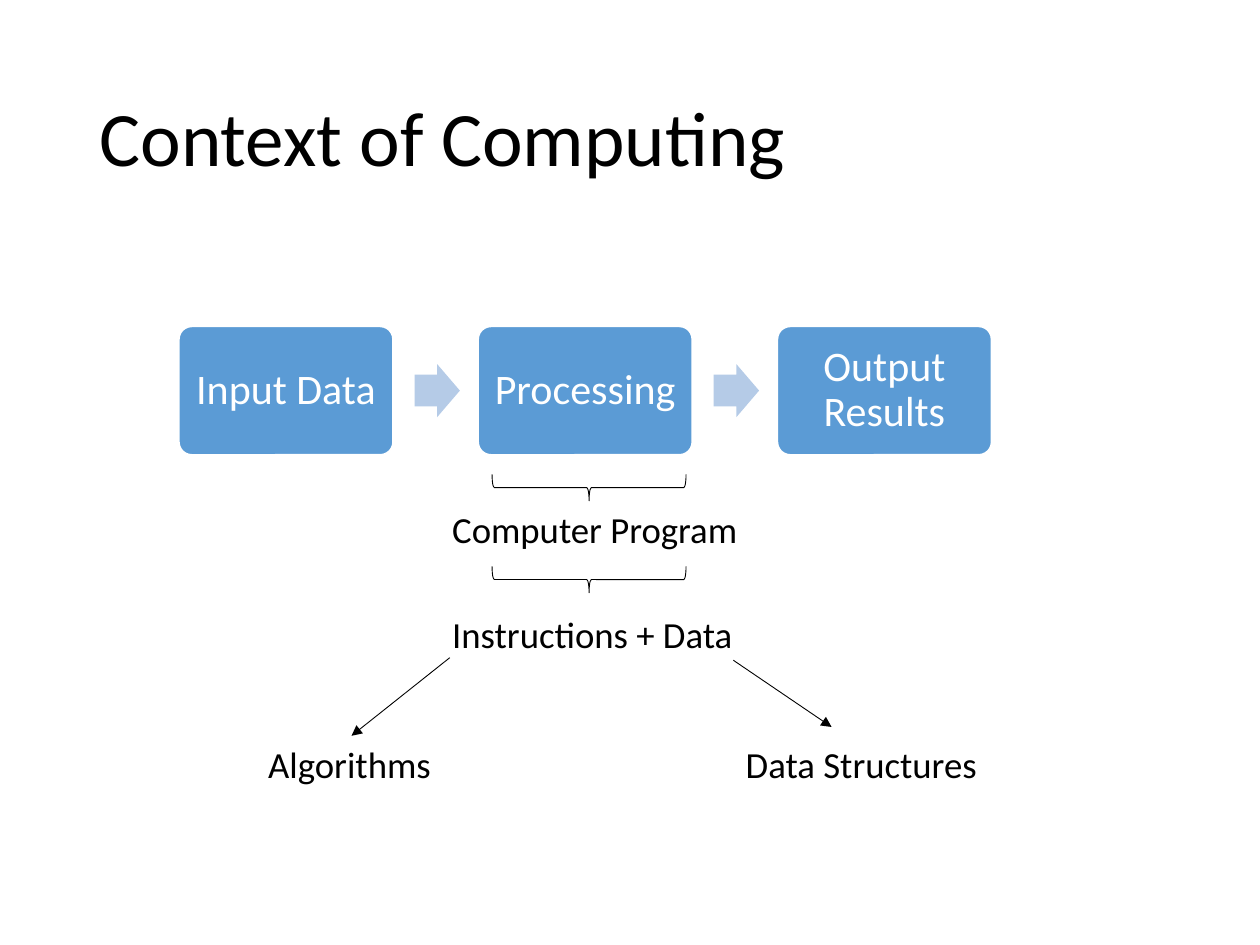
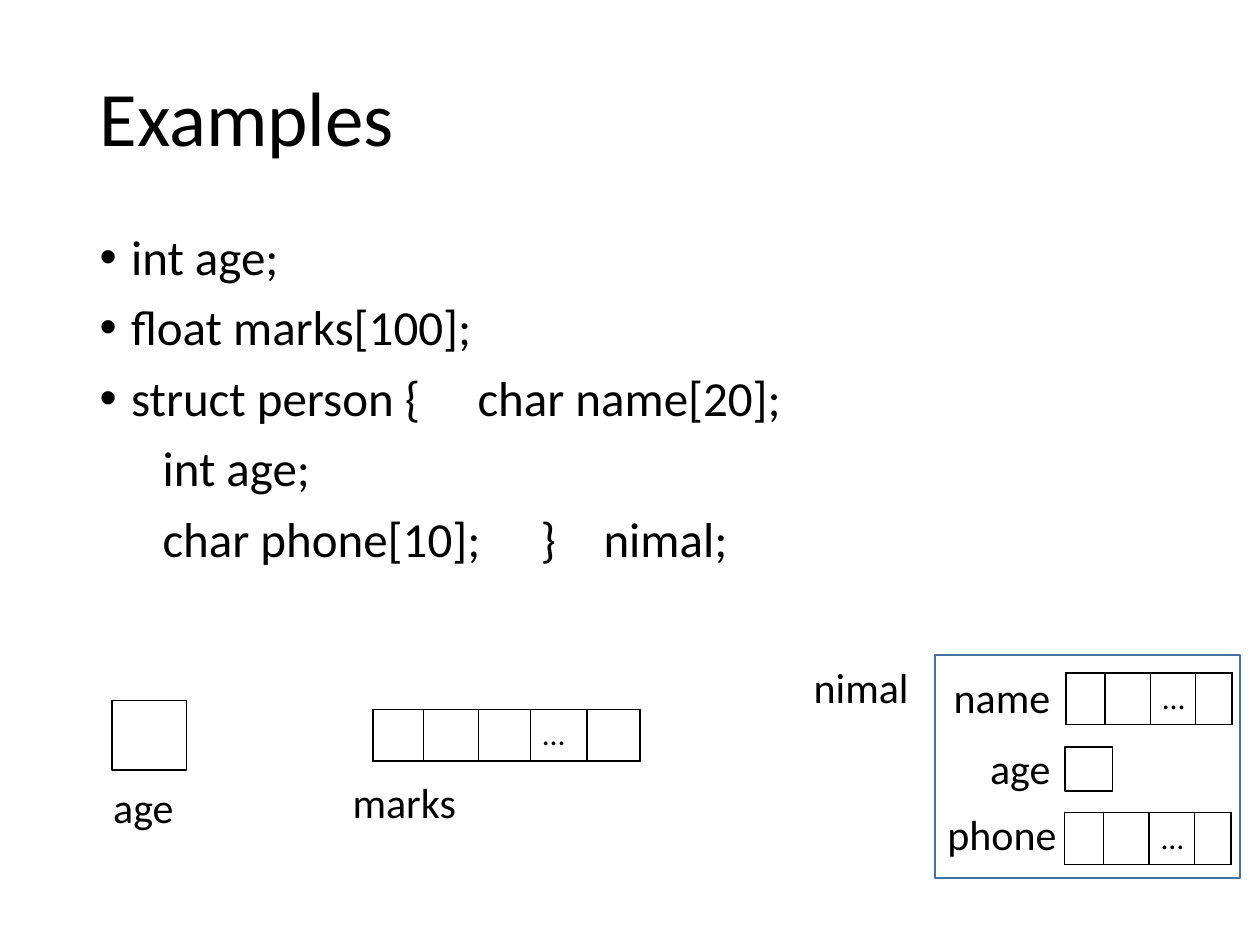
from typing import NamedTuple

from lxml import etree
from pptx import Presentation
from pptx.dml.color import RGBColor
from pptx.enum.shapes import MSO_CONNECTOR, MSO_SHAPE
from pptx.enum.text import MSO_ANCHOR, MSO_AUTO_SIZE, PP_ALIGN
from pptx.oxml.ns import qn
from pptx.util import Inches, Pt

ROUND_RECT = MSO_SHAPE.ROUNDED_RECTANGLE
RECT = MSO_SHAPE.RECTANGLE
ARROW = MSO_SHAPE.RIGHT_ARROW
BRACE = MSO_SHAPE.RIGHT_BRACE
STRAIGHT = MSO_CONNECTOR.STRAIGHT
LEFT, CENTER = PP_ALIGN.LEFT, PP_ALIGN.CENTER
TOP, MIDDLE = MSO_ANCHOR.TOP, MSO_ANCHOR.MIDDLE

FONT = "Calibri"
BLACK, WHITE = "000000", "FFFFFF"
BLUE, PALE_BLUE, FRAME_BLUE = "5B9BD5", "B5CBE7", "43739E"

# The slide is a grid of 100 columns and 75 rows of square cells.
COLS, ROWS = 100, 75
UNIT = Inches(0.1)
BODY_LAYOUT, TITLE_LAYOUT = 1, 5
STEP_PITCH = 23.75


class Box(NamedTuple):
    """A rectangle in grid columns and rows."""
    x: float
    y: float
    w: float
    h: float

    def emu(self) -> list[int]:
        return [grid(v) for v in self]


class Label(NamedTuple):
    text: str
    box: Box
    size: int


class Strip(NamedTuple):
    """A one-row array with an ellipsis in one of its cells."""
    x: float
    y: float
    widths: tuple[float, ...]
    gap_cell: int


STEPS = ("Input Data", "Processing", "Output Results")
PROGRAM_LABELS = (
    Label("Computer Program", Box(34.9, 39.7, 25.1, 4.5), 21),
    Label("Instructions + Data", Box(34.9, 48.1, 25.1, 4.5), 21),
    Label("Algorithms", Box(20.3, 58.4, 15.1, 4.5), 21),
    Label("Data Structures", Box(58.2, 58.4, 20.5, 4.5), 21),
)
BRACE_TOPS = (31, 38.3)
BRANCHES = ((35.7, 52.2, 27.9, 58.4), (58.2, 52.4, 66, 57.7))

FIELD_WIDTHS = (3.1, 3.6, 3.6, 2.9)
STRIPS = (
    Strip(29.6, 56.3, (4, 4.4, 4.1, 4.5, 4.2), 3),
    Strip(84.6, 53.4, FIELD_WIDTHS, 2),
    Strip(84.5, 64.5, FIELD_WIDTHS, 2),
)
AGE_BOXES = (Box(8.9, 55.6, 5.9, 5.5), Box(84.5, 59.3, 3.8, 3.5))
STRUCT_FRAME = Box(74.2, 52, 24.2, 17.7)
VARIABLE_LABELS = (
    Label("age", Box(8, 61.5, 6.9, 5), 24),
    Label("marks", Box(27, 61.1, 10.3, 5), 24),
    Label("age", Box(77.6, 58.4, 6.9, 5), 24),
    Label("name", Box(74.7, 52.8, 9.8, 5), 24),
    Label("phone", Box(74.2, 63.7, 10.8, 5), 24),
    Label("nimal", Box(63.6, 52, 10.3, 5), 24),
)
BULLETS = ("int age;", "float marks[100];", "struct person { \tchar name[20];")
STRUCT_LINES = ("\tint age;", "\tchar phone[10];\t}\tnimal;")
STRUCT_TABS = (30, 60, 63.8)


def grid(v: float) -> int:
    return round(v * UNIT)


def rgb(hex_color: str) -> RGBColor:
    return RGBColor.from_string(hex_color)


def style(p, size: float, color: str = BLACK, align=LEFT) -> None:
    p.font.name, p.font.size = FONT, Pt(size)
    p.font.color.rgb = rgb(color)
    p.alignment = align


def place(sp, box: Box) -> None:
    sp.left, sp.top, sp.width, sp.height = box.emu()


def add_title(slide, text: str, box: Box) -> None:
    sp = slide.shapes.title
    place(sp, box)
    tf = sp.text_frame
    tf.text, tf.vertical_anchor = text, MIDDLE
    tf.auto_size = MSO_AUTO_SIZE.NONE
    style(tf.paragraphs[0], 44)
    tf.paragraphs[0].line_spacing = 0.9


def add_preset(slide, kind, box: Box, fill: str = "", line: str = "",
               weight: float = 1):
    """Draw a preset shape; an empty colour means no fill or no line."""
    sp = slide.shapes.add_shape(kind, *box.emu())
    sp.shadow.inherit = False
    if fill:
        sp.fill.solid()
        sp.fill.fore_color.rgb = rgb(fill)
    else:
        sp.fill.background()
    if line:
        sp.line.color.rgb, sp.line.width = rgb(line), Pt(weight)
    else:
        sp.line.fill.background()
    return sp


def add_label(slide, label: Label) -> None:
    tf = slide.shapes.add_textbox(*label.box.emu()).text_frame
    tf.word_wrap, tf.text = True, label.text
    style(tf.paragraphs[0], label.size)


def add_step(slide, text: str, box: Box) -> None:
    sp = add_preset(slide, ROUND_RECT, box, BLUE, WHITE)
    sp.adjustments[0] = 0.1
    tf = sp.text_frame
    tf.word_wrap, tf.text, tf.vertical_anchor = True, text, MIDDLE
    tf.margin_left = tf.margin_right = grid(0.9)
    style(tf.paragraphs[0], 24, WHITE, CENTER)
    tf.paragraphs[0].line_spacing = 0.9


def add_branch(slide, ends: tuple[float, ...]) -> None:
    cn = slide.shapes.add_connector(STRAIGHT, *map(grid, ends))
    cn.line.color.rgb, cn.line.width = rgb(BLACK), Pt(0.5)
    etree.SubElement(cn.line._get_or_add_ln(), qn("a:tailEnd"), type="triangle")
    etree.SubElement(cn._element.spPr, qn("a:effectLst"))


def add_borders(cell) -> None:
    tc_pr = cell._tc.get_or_add_tcPr()
    for i, side in enumerate(("lnL", "lnR", "lnT", "lnB")):
        ln = etree.Element(qn(f"a:{side}"), w=str(Pt(1)))
        fill = etree.SubElement(ln, qn("a:solidFill"))
        etree.SubElement(fill, qn("a:srgbClr"), val=BLACK)
        tc_pr.insert(i, ln)


def add_strip(slide, strip: Strip) -> None:
    box = Box(strip.x, strip.y, sum(strip.widths), 4.1)
    table = slide.shapes.add_table(1, len(strip.widths), *box.emu()).table
    table.first_row = table.horz_banding = False
    for i, width in enumerate(strip.widths):
        table.columns[i].width = grid(width)
        cell = table.cell(0, i)
        cell.fill.background()
        add_borders(cell)
        if i == strip.gap_cell:
            cell.text = "…"
        style(cell.text_frame.paragraphs[0], 18)


def set_plain_tabs(p, stops: tuple[float, ...]) -> None:
    """Take the bullet and indent off a paragraph and give it tab stops."""
    p_pr = p._p.get_or_add_pPr()
    p_pr.set("marL", "0")
    p_pr.set("indent", "0")
    bullet = etree.Element(qn("a:buNone"))
    tabs = etree.Element(qn("a:tabLst"))
    for stop in stops:
        etree.SubElement(tabs, qn("a:tab"), pos=str(grid(stop)), algn="l")
    after = p_pr.find(qn("a:defRPr"))
    for el in (bullet, tabs):
        after.addprevious(el)


def add_declarations(slide) -> None:
    sp = slide.placeholders[1]
    place(sp, Box(6.9, 18, 86.2, 30.2))
    tf = sp.text_frame
    tf.text = "\n".join(BULLETS + STRUCT_LINES)
    tf.vertical_anchor, tf.auto_size = TOP, MSO_AUTO_SIZE.NONE
    for i, p in enumerate(tf.paragraphs):
        style(p, 28)
        p.line_spacing, p.space_before = 0.9, Pt(10)
        if i < len(BULLETS):
            p_pr = p._p.get_or_add_pPr()
            p_pr.set("marL", str(grid(2.5)))
            p_pr.set("indent", str(grid(-2.5)))
        else:
            set_plain_tabs(p, STRUCT_TABS)


def build_context(prs) -> None:
    slide = prs.slides.add_slide(prs.slide_layouts[TITLE_LAYOUT])
    add_title(slide, "Context of Computing", Box(6.9, 4, 86.2, 14.5))
    for i, text in enumerate(STEPS):
        x = 14.2 + i * STEP_PITCH
        add_step(slide, text, Box(x, 25.9, 17, 10.2))
        if i < len(STEPS) - 1:
            sp = add_preset(slide, ARROW, Box(x + 18.7, 28.9, 3.6, 4.2), PALE_BLUE)
            sp.adjustments[0], sp.adjustments[1] = 0.6, 0.5
    for top in BRACE_TOPS:
        sp = add_preset(slide, BRACE, Box(45.7, top, 2.1, 15.4), line=BLACK,
                        weight=0.5)
        sp.rotation = 90
    for label in PROGRAM_LABELS:
        add_label(slide, label)
    for ends in BRANCHES:
        add_branch(slide, ends)


def build_examples(prs) -> None:
    slide = prs.slides.add_slide(prs.slide_layouts[BODY_LAYOUT])
    add_title(slide, "Examples", Box(6.9, 4, 86.2, 11.3))
    add_declarations(slide)
    for box in AGE_BOXES:
        add_preset(slide, RECT, box, line=BLACK)
    for strip in STRIPS:
        add_strip(slide, strip)
    add_preset(slide, RECT, STRUCT_FRAME, line=FRAME_BLUE)
    for label in VARIABLE_LABELS:
        add_label(slide, label)


def main() -> None:
    prs = Presentation()
    prs.slide_width, prs.slide_height = grid(COLS), grid(ROWS)
    build_context(prs)
    build_examples(prs)
    prs.save("out.pptx")


if __name__ == "__main__":
    main()
